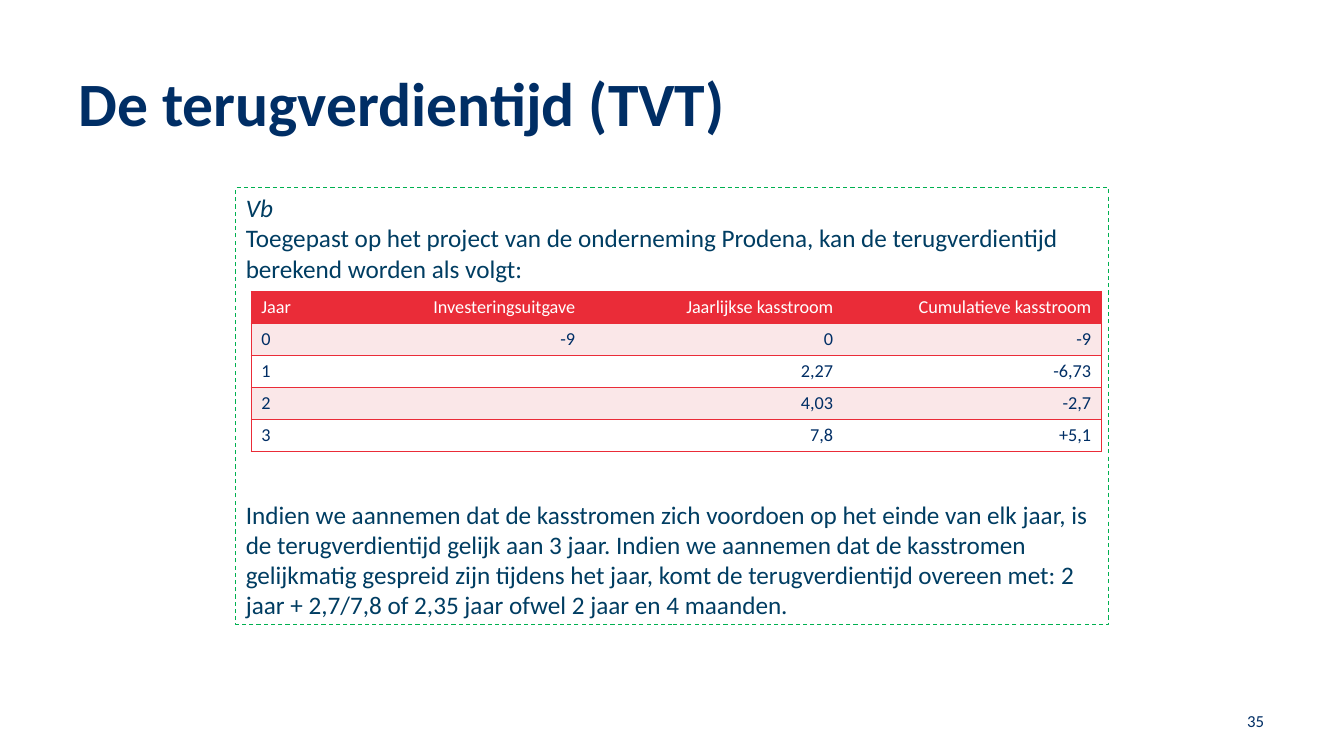
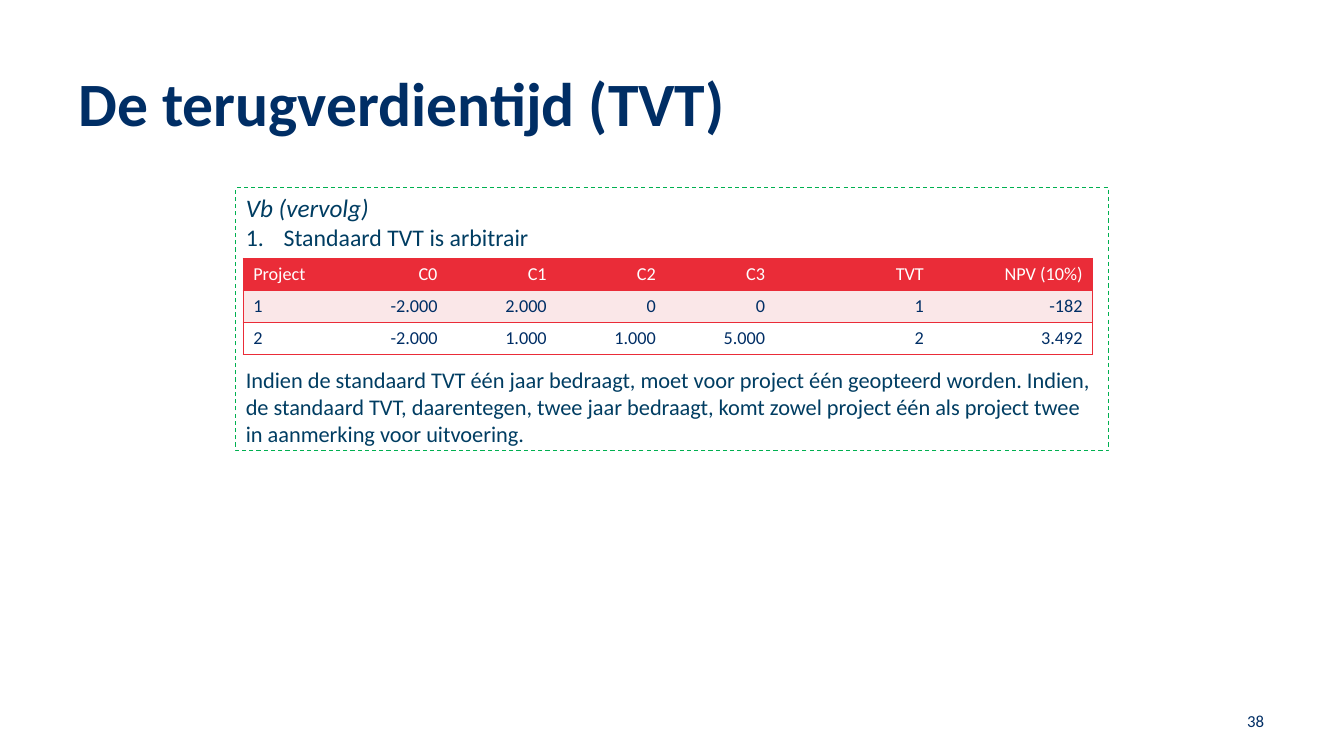
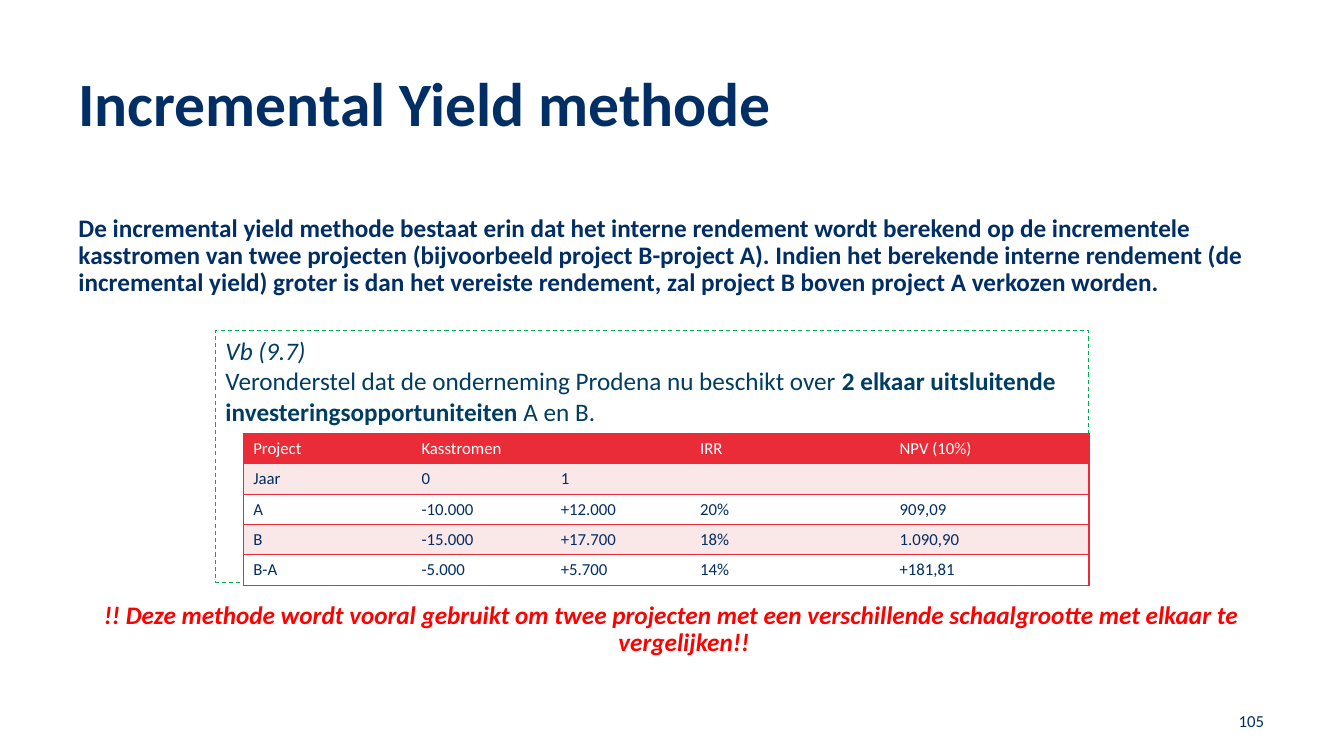
"""Build three slides on the payback period and the incremental yield method."""
from lxml import etree
from pptx import Presentation
from pptx import util as u
from pptx.dml import color as c
from pptx.enum import dml, shapes, text
from pptx.oxml import ns

FONT = "Calibri"
NAVY, TEAL, RED, PINK, WHITE = "002E65", "003D62", "EA2C38", "FAE7E8", "FFFFFF"
GREEN, ALERT = "00B050", "FF0000"
LEFT, CENTER, RIGHT = text.PP_ALIGN.LEFT, text.PP_ALIGN.CENTER, text.PP_ALIGN.RIGHT
rgb = c.RGBColor.from_string


def add_run(paragraph, words, size, color, bold=False, italic=False):
    run = paragraph.add_run()
    run.text = words
    font = run.font
    font.name, font.size, font.bold, font.italic = FONT, u.Pt(size), bold, italic
    font.color.rgb = rgb(color)


def add_text_box(slide, left, top, width, height):
    frame = slide.shapes.add_textbox(u.Pt(left), u.Pt(top), u.Pt(width), u.Pt(height)).text_frame
    frame.word_wrap = True
    return frame


pages = [
    {
        "title": "De terugverdientijd (TVT)",
        "number": "35",
        "box": (168.5, 134, 623.5, 312),
        "paragraphs": [
            {"runs": [("Vb", 18, False, True)]},
            {"runs": [("Toegepast op het project van de onderneming Prodena, kan de "
                       "terugverdientijd berekend worden als volgt:", 18, False, False)]},
            {"before": 154,
             "runs": [("Indien we aannemen dat de kasstromen zich voordoen op het einde van elk "
                       "jaar, is de terugverdientijd gelijk aan 3 jaar. Indien we aannemen dat de "
                       "kasstromen gelijkmatig gespreid zijn tijdens het jaar, komt de "
                       "terugverdientijd overeen met: 2 jaar + 2,7/7,8 of 2,35 jaar ofwel 2 jaar "
                       "en 4 maanden.", 18, False, False)]},
        ],
        "table": (179.5, 208.2),
        "columns": [54.2] + [184.3] * 3,
        "row_height": 22.9,
        "size": 13,
        "align": RIGHT,
        "rows": [
            ["Jaar", "Investeringsuitgave", "Jaarlijkse kasstroom", "Cumulatieve kasstroom"],
            ["0", "-9", "0", "-9"],
            ["1", "", "2,27", "-6,73"],
            ["2", "", "4,03", "-2,7"],
            ["3", "", "7,8", "+5,1"],
        ],
    },
    {
        "title": "De terugverdientijd (TVT)",
        "number": "38",
        "box": (168.5, 134, 623.5, 188),
        "paragraphs": [
            {"runs": [("Vb (vervolg)", 18, False, True)]},
            {"numbered": True, "runs": [("Standaard TVT is arbitrair", 17, False, False)]},
            {"before": 82,
             "runs": [("Indien de standaard TVT één jaar bedraagt, moet voor project één geopteerd "
                       "worden. Indien, de standaard TVT, daarentegen, twee jaar bedraagt, komt "
                       "zowel project één als project twee in aanmerking voor uitvoering.",
                       16, False, False)]},
        ],
        "table": (173.7, 184.6),
        "columns": [68] + [78] * 4 + [113.4] * 2,
        "row_height": 22.9,
        "size": 13,
        "align": RIGHT,
        "rows": [
            ["Project", "C0", "C1", "C2", "C3", "TVT", "NPV (10%)"],
            ["1", "-2.000", "2.000", "0", "0", "1", "-182"],
            ["2", "-2.000", "1.000", "1.000", "5.000", "2", "3.492"],
        ],
    },
    {
        "title": "Incremental Yield methode",
        "number": "105",
        "box": (154, 236, 623.5, 180),
        "paragraphs": [
            {"runs": [("Vb (9.7)", 18, False, True)]},
            {"runs": [("Veronderstel dat de onderneming Prodena nu beschikt over ", 18, False, False),
                      ("2 elkaar uitsluitende investeringsopportuniteiten", 18, True, False),
                      (" A en B.", 18, False, False)]},
        ],
        "table": (173.7, 309.6),
        "columns": [120.2] + [99.5] * 2 + [142.5] * 2,
        "row_height": 21.7,
        "size": 12,
        "align": LEFT,
        "rows": [
            ["Project", "Kasstromen", "", "IRR", "NPV (10%)"],
            ["Jaar", "0", "1", "", ""],
            ["A", "-10.000", "+12.000", "20%", "909,09"],
            ["B", "-15.000", "+17.700", "18%", "1.090,90"],
            ["B-A", "-5.000", "+5.700", "14%", "+181,81"],
        ],
    },
]

presentation = Presentation()
presentation.slide_width, presentation.slide_height = u.Pt(960), u.Pt(540)

for page in pages:
    slide = presentation.slides.add_slide(presentation.slide_layouts[6])

    title = add_text_box(slide, 49, 49, 861, 84).paragraphs[0]
    title.line_spacing = 0.9
    add_run(title, page["title"], 44, NAVY, bold=True)

    example = slide.shapes.add_shape(shapes.MSO_SHAPE.RECTANGLE, *map(u.Pt, page["box"]))
    example.shadow.inherit = False
    example.fill.background()
    example.line.color.rgb = rgb(GREEN)
    example.line.width = u.Pt(0)
    example.line.dash_style = dml.MSO_LINE.DASH
    frame = example.text_frame
    frame.word_wrap = True
    frame.vertical_anchor = text.MSO_ANCHOR.TOP
    for index, content in enumerate(page["paragraphs"]):
        paragraph = frame.add_paragraph() if index else frame.paragraphs[0]
        paragraph.alignment = LEFT
        paragraph.space_before = u.Pt(content.get("before", 0))
        if content.get("numbered"):
            properties = paragraph._p.get_or_add_pPr()
            properties.set("marL", str(u.Pt(27)))
            properties.set("indent", str(-u.Pt(27)))
            etree.SubElement(properties, ns.qn("a:buAutoNum"), type="arabicPeriod")
        for words, size, bold, italic in content["runs"]:
            add_run(paragraph, words, size, TEAL, bold, italic)

    rows, columns = page["rows"], page["columns"]
    left, top = page["table"]
    table = slide.shapes.add_table(
        len(rows), len(columns), u.Pt(left), u.Pt(top),
        u.Pt(sum(columns)), u.Pt(page["row_height"] * len(rows))).table
    table.first_row = table.horz_banding = False
    for column, width in zip(table.columns, columns):
        column.width = u.Pt(width)
    for row_index, row in enumerate(rows):
        table.rows[row_index].height = u.Pt(page["row_height"])
        for column_index, words in enumerate(row):
            cell = table.cell(row_index, column_index)
            properties = cell._tc.get_or_add_tcPr()
            drawn = {"lnL": column_index == 0, "lnR": column_index == len(row) - 1,
                     "lnT": True, "lnB": True}
            for edge, visible in drawn.items():
                border = etree.SubElement(properties, ns.qn("a:" + edge), w=str(u.Pt(0.96)))
                if visible:
                    solid = etree.SubElement(border, ns.qn("a:solidFill"))
                    etree.SubElement(solid, ns.qn("a:srgbClr"), val=RED)
                else:
                    etree.SubElement(border, ns.qn("a:noFill"))
            cell.fill.solid()
            cell.fill.fore_color.rgb = rgb(
                RED if row_index == 0 else PINK if row_index % 2 else WHITE)
            paragraph = cell.text_frame.paragraphs[0]
            paragraph.alignment = page["align"] if column_index else LEFT
            if words:
                add_run(paragraph, words, page["size"], NAVY if row_index else WHITE)
            else:
                etree.SubElement(paragraph._p, ns.qn("a:endParaRPr"), sz=str(page["size"] * 100))

    number_frame = add_text_box(slide, 694, 500.4, 216, 28.8)
    number_frame.vertical_anchor = text.MSO_ANCHOR.MIDDLE
    number = number_frame.paragraphs[0]
    number.alignment = RIGHT
    add_run(number, page["number"], 12, NAVY)

table.cell(0, 1).merge(table.cell(0, 2))

body = add_text_box(slide, 49, 150.5, 861, 340.5)
definition = body.paragraphs[0]
definition.line_spacing = 0.9
add_run(definition,
        "De incremental yield methode bestaat erin dat het interne rendement wordt berekend op de "
        "incrementele kasstromen van twee projecten (bijvoorbeeld project B-project A). Indien het "
        "berekende interne rendement (de incremental yield) groter is dan het vereiste rendement, "
        "zal project B boven project A verkozen worden.", 18, NAVY, bold=True)
warning = body.add_paragraph()
warning.alignment = CENTER
warning.line_spacing = 0.9
warning.space_before = u.Pt(218)
properties = warning._p.get_or_add_pPr()
properties.set("marL", str(u.Pt(18)))
properties.set("indent", str(-u.Pt(18)))
add_run(warning,
        "!! Deze methode wordt vooral gebruikt om twee projecten met een verschillende "
        "schaalgrootte met elkaar te vergelijken!!", 18, ALERT, bold=True, italic=True)

presentation.save("out.pptx")
